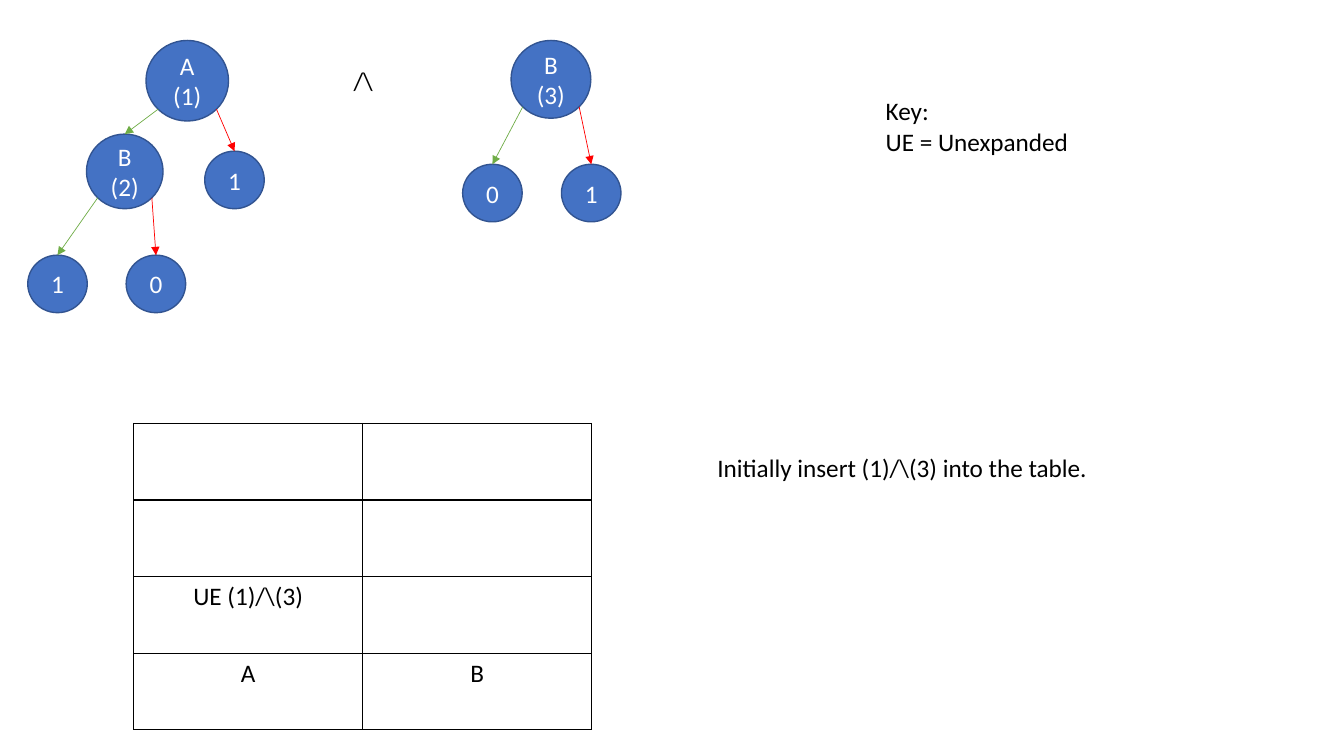
from dataclasses import dataclass

import lxml.etree
import pptx
import pptx.dml.color
import pptx.enum.shapes
import pptx.enum.text
import pptx.oxml.ns
import pptx.util

Cm = pptx.util.Cm
Pt = pptx.util.Pt
ALIGN = pptx.enum.text.PP_ALIGN


@dataclass(frozen=True)
class Theme:
    font: str = "Calibri"
    size: int = 18
    ink: str = "000000"
    node_text: str = "FFFFFF"
    node_fill: str = "4472C4"
    node_line: str = "325491"
    low_branch: str = "70AD47"
    high_branch: str = "FF0000"
    node_width: float = 1
    branch_width: float = 0.5
    border_width: float = 1


THEME = Theme()
LEAF_SIZE = (1.5, 1.45)
LOWER_LEFT, LOWER_RIGHT = 3, 5


def rgb(color):
    return pptx.dml.color.RGBColor.from_string(color)


def add_xml(parent, tag, **attributes):
    return lxml.etree.SubElement(parent, pptx.oxml.ns.qn(tag), **attributes)


def write(frame, text, color=THEME.ink, size=THEME.size, align=ALIGN.LEFT):
    for index, line in enumerate(text.split("\n")):
        paragraph = frame.add_paragraph() if index else frame.paragraphs[0]
        paragraph.alignment = align
        run = paragraph.add_run()
        run.text = line
        run.font.name = THEME.font
        run.font.size = Pt(size)
        run.font.color.rgb = rgb(color)


def add_label(slide, text, left, top, width, height):
    label = slide.shapes.add_textbox(Cm(left), Cm(top), Cm(width), Cm(height))
    label.text_frame.word_wrap = False
    label.text_frame.auto_size = pptx.enum.text.MSO_AUTO_SIZE.SHAPE_TO_FIT_TEXT
    write(label.text_frame, text)


def add_node(slide, text, left, top, width=LEAF_SIZE[0], height=LEAF_SIZE[1]):
    node = slide.shapes.add_shape(
        pptx.enum.shapes.MSO_SHAPE.OVAL, Cm(left), Cm(top), Cm(width), Cm(height))
    node.shadow.inherit = False
    node.fill.solid()
    node.fill.fore_color.rgb = rgb(THEME.node_fill)
    node.line.color.rgb = rgb(THEME.node_line)
    node.line.width = Pt(THEME.node_width)
    node.text_frame.word_wrap = True
    node.text_frame.vertical_anchor = pptx.enum.text.MSO_ANCHOR.MIDDLE
    write(node.text_frame, text, color=THEME.node_text, align=ALIGN.CENTER)
    return node


def add_branch(slide, parent, child, site, color):
    side = -1 if site == LOWER_LEFT else 1
    start_x = int(parent.left + parent.width * (0.5 + side * 0.5 ** 1.5))
    start_y = int(parent.top + parent.height * (0.5 + 0.5 ** 1.5))
    branch = slide.shapes.add_connector(
        pptx.enum.shapes.MSO_CONNECTOR.STRAIGHT,
        start_x, start_y, child.left + child.width // 2, child.top)
    branch.begin_connect(parent, 3)
    branch.end_connect(child, 0)
    branch.begin_x, branch.begin_y = start_x, start_y
    for start in branch.element.iter(pptx.oxml.ns.qn("a:stCxn")):
        start.set("idx", str(site))
    branch.line.color.rgb = rgb(color)
    branch.line.width = Pt(THEME.branch_width)
    add_xml(branch.line._get_or_add_ln(), "a:tailEnd", type="triangle")
    add_xml(branch.element.spPr, "a:effectLst")


def add_branches(slide, parent, low, high):
    add_branch(slide, parent, low, LOWER_LEFT, THEME.low_branch)
    add_branch(slide, parent, high, LOWER_RIGHT, THEME.high_branch)


def format_cell(cell):
    properties = cell._tc.get_or_add_tcPr()
    for edge in ("a:lnL", "a:lnR", "a:lnT", "a:lnB"):
        border = add_xml(properties, edge, w=str(Pt(THEME.border_width)))
        add_xml(add_xml(border, "a:solidFill"), "a:srgbClr", val=THEME.ink)
    cell.fill.background()


def add_grid(slide, rows, left, top, column_width, row_height):
    columns = len(rows[0])
    grid = slide.shapes.add_table(
        len(rows), columns, Cm(left), Cm(top),
        Cm(column_width * columns), Cm(row_height * len(rows))).table
    grid.first_row = False
    grid.horz_banding = False
    for row_index, row in enumerate(rows):
        for column_index, text in enumerate(row):
            cell = grid.cell(row_index, column_index)
            format_cell(cell)
            if text:
                write(cell.text_frame, text, align=ALIGN.CENTER)


def main():
    deck = pptx.Presentation()
    deck.slide_width, deck.slide_height = Cm(33.87), Cm(19.05)
    slide = deck.slides.add_slide(deck.slide_layouts[6])

    a1 = add_node(slide, "A (1)", 3.68, 1.02, 2.08, 2.03)
    b2 = add_node(slide, "B (2)", 2.18, 3.38, 1.93, 1.88)
    a1_high = add_node(slide, "1", 5.16, 3.81)
    b2_low = add_node(slide, "1", 0.7, 6.43)
    b2_high = add_node(slide, "0", 3.18, 6.43)
    add_branches(slide, a1, b2, a1_high)
    add_branches(slide, b2, b2_low, b2_high)

    b3 = add_node(slide, "B (3)", 12.88, 1.02, 2.01, 1.96)
    b3_low = add_node(slide, "0", 11.66, 4.14)
    b3_high = add_node(slide, "1", 14.15, 4.14)
    add_branches(slide, b3, b3_low, b3_high)

    add_label(slide, "/\\", 8.66, 1.52, 1.02, 1.02)
    add_grid(slide, [("", ""), ("", ""), ("UE (1)/\\(3)", ""), ("A", "B")],
             left=3.37, top=10.67, column_width=5.77, row_height=1.93)
    add_label(slide, "Initially insert (1)/\\(3) into the table.", 17.83, 11.28, 10.08, 1.02)
    add_label(slide, "Key:\nUE = Unexpanded", 22.07, 2.29, 5.16, 1.8)

    deck.save("out.pptx")


main()
